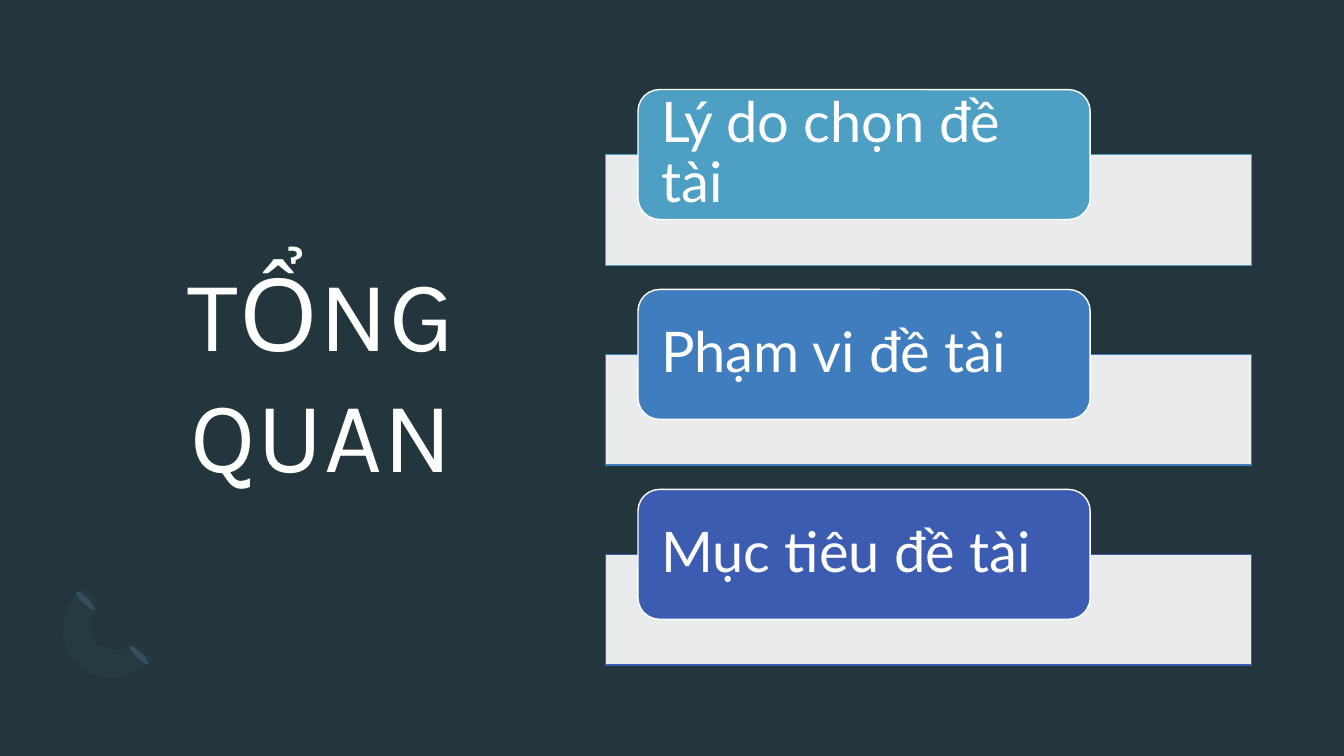
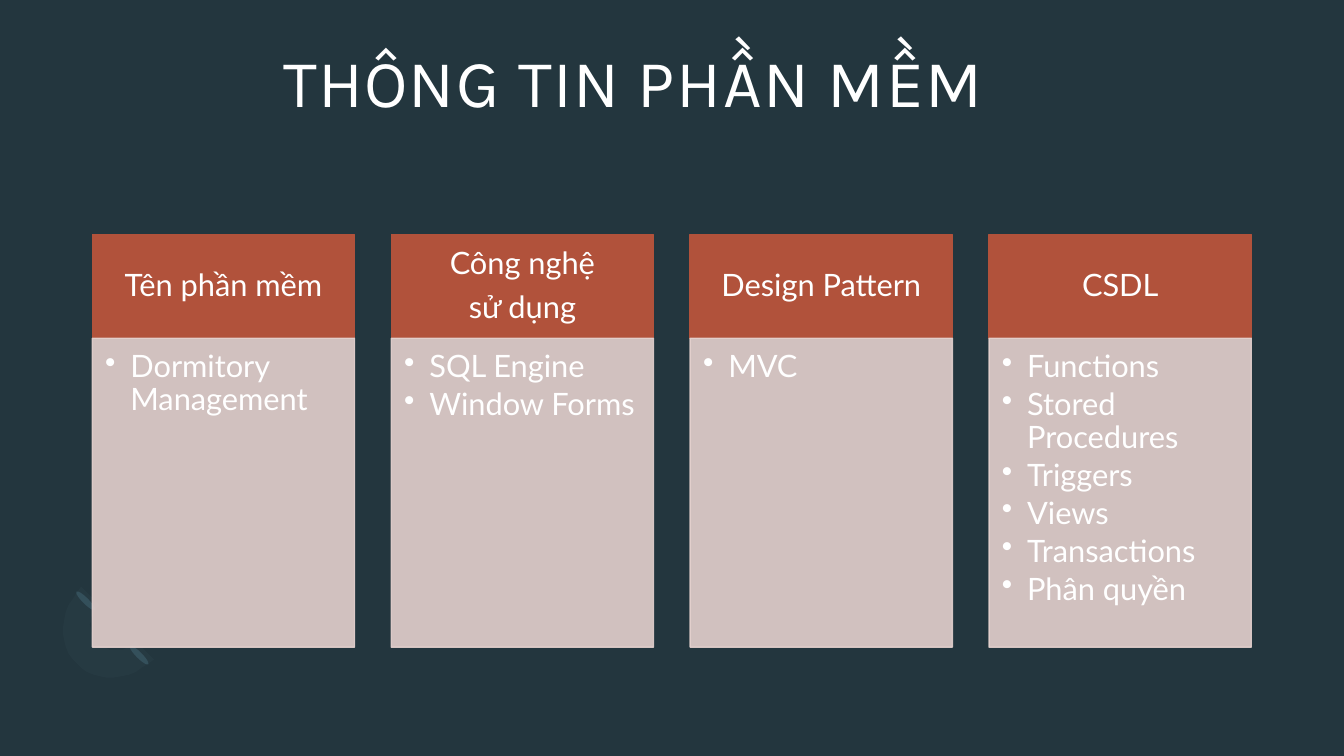
import math
from dataclasses import dataclass

from lxml import etree
from pptx import Presentation
from pptx import util as u
from pptx.dml import color
from pptx.enum import shapes, text
from pptx.oxml import ns

COLORS = {
    "background": "23363E",
    "white": "FFFFFF",
    "petal": "324D58",
    "ring": "7BA3B4",
    "teal": "4D9FC3",
    "blue": "407DBE",
    "indigo": "3B5CB1",
    "rust": "B1523B",
    "blush": "E4D1CE",
}
TITLE_FONT, BODY_FONT = "Karla", "Lato"


@dataclass(frozen=True)
class Box:
    left: float
    top: float
    width: float
    height: float

    def lengths(self) -> tuple:
        return tuple(u.Pt(n) for n in (self.left, self.top, self.width, self.height))


@dataclass(frozen=True)
class TextStyle:
    size: float
    font: str = BODY_FONT
    align: text.PP_ALIGN = text.PP_ALIGN.LEFT
    anchor: text.MSO_ANCHOR = text.MSO_ANCHOR.MIDDLE
    insets: tuple = (0, 0, 0, 0)
    line_spacing: float = 0.9
    space_after: float = 0
    tracking: int = 0
    bullet: bool = False


@dataclass(frozen=True)
class Topic:
    label: str
    color: str


@dataclass(frozen=True)
class Column:
    header: list
    items: list


TOPIC_STYLE = TextStyle(40, insets=(12.2, 0, 12.2, 0))
HEADER_STYLE = TextStyle(22, align=text.PP_ALIGN.CENTER, insets=(12.3, 7, 12.3, 7), space_after=7.7)
ITEM_STYLE = TextStyle(22, anchor=text.MSO_ANCHOR.TOP, insets=(9.2, 9.2, 12.3, 13.9),
                       space_after=3.3, bullet=True)

TOPICS = [
    Topic("Lý do chọn đề tài", "teal"),
    Topic("Phạm vi đề tài", "blue"),
    Topic("Mục tiêu đề tài", "indigo"),
]
COLUMNS = [
    Column(["Tên phần mềm"], ["Dormitory Management"]),
    Column(["Công nghệ", "sử dụng"], ["SQL Engine", "Window Forms"]),
    Column(["Design Pattern"], ["MVC"]),
    Column(["CSDL"], ["Functions", "Stored Procedures", "Triggers", "Views",
                      "Transactions", "Phân quyền"]),
]


def set_color(fill, name: str, opacity: int = 100) -> None:
    fill.solid()
    fill.fore_color.rgb = color.RGBColor.from_string(COLORS[name])
    if opacity < 100:
        rgb = fill._xPr.find(".//" + ns.qn("a:srgbClr"))
        etree.SubElement(rgb, ns.qn("a:alpha"), val=str(opacity * 1000))


def paint(shape, fill: str, line: str = "", opacity: int = 100, line_opacity: int = 100) -> None:
    shape.shadow.inherit = False
    set_color(shape.fill, fill, opacity)
    if line:
        shape.line.width = u.Pt(1)
        set_color(shape.line.fill, line, line_opacity)
    else:
        shape.line.fill.background()


def write(shape, lines: list, style: TextStyle) -> None:
    frame = shape.text_frame
    sides = ("margin_left", "margin_top", "margin_right", "margin_bottom")
    frame_format = {"word_wrap": True, "vertical_anchor": style.anchor,
                    **{side: u.Pt(inset) for side, inset in zip(sides, style.insets)}}
    for name, value in frame_format.items():
        setattr(frame, name, value)
    frame.text = "\n".join(lines)
    for paragraph in frame.paragraphs:
        paragraph_format = {"alignment": style.align, "line_spacing": style.line_spacing,
                            "space_after": u.Pt(style.space_after)}
        for name, value in paragraph_format.items():
            setattr(paragraph, name, value)
        if style.bullet:
            properties = paragraph._p.get_or_add_pPr()
            properties.set("marL", str(u.Pt(18)))
            properties.set("indent", str(u.Pt(-18)))
            etree.SubElement(properties, ns.qn("a:buChar"), char="•")
        for run in paragraph.runs:
            for name, value in {"name": style.font, "size": u.Pt(style.size)}.items():
                setattr(run.font, name, value)
            set_color(run.font.fill, "white")
            if style.tracking:
                run._r.get_or_add_rPr().set("spc", str(style.tracking))


def add_box(slide, box: Box, kind=shapes.MSO_SHAPE.RECTANGLE, **look):
    shape = slide.shapes.add_shape(kind, *box.lengths())
    paint(shape, **look)
    return shape


def add_title(slide, title: str, box: Box, size: float) -> None:
    style = TextStyle(size, TITLE_FONT, text.PP_ALIGN.CENTER, text.MSO_ANCHOR.TOP,
                      line_spacing=1.0, tracking=100)
    write(slide.shapes.add_textbox(*box.lengths()), [title], style)


def arc(along: float, across: float) -> list:
    points = []
    for step in range(25):
        angle = math.pi * (1 - step / 24)
        x, y = along * math.cos(angle), across * math.sin(angle)
        points.append((84 + (x - y) / math.sqrt(2), 445 + (x + y) / math.sqrt(2)))
    return points


def add_ornament(slide) -> None:
    for left, top in ((97.2, 458.6), (59, 419.8)):
        petal = add_box(slide, Box(left, top, 4.3, 18.7), shapes.MSO_SHAPE.OVAL, fill="petal")
        petal.rotation = 135
    outline = arc(36.4, 41.5) + arc(18.4, 20.6)[::-1]
    builder = slide.shapes.build_freeform(*outline[0], scale=u.Pt(1))
    builder.add_line_segments(outline[1:], close=True)
    paint(builder.convert_to_shape(), "ring", opacity=4)


def add_slide(presentation):
    slide = presentation.slides.add_slide(presentation.slide_layouts[6])
    set_color(slide.background.fill, "background")
    add_ornament(slide)
    return slide


def build_overview(presentation) -> None:
    slide = add_slide(presentation)
    add_title(slide, "TỔNG QUAN", Box(75, 179.3, 310, 180), 72)
    for index, topic in enumerate(TOPICS):
        top = 64 + index * 142.8
        add_box(slide, Box(432.6, top + 46.3, 461.3, 79.2),
                fill="white", line=topic.color, opacity=90)
        label = add_box(slide, Box(455.7, top, 323, 92.8), shapes.MSO_SHAPE.ROUNDED_RECTANGLE,
                        fill=topic.color, line="white")
        write(label, [topic.label], TOPIC_STYLE)


def build_software(presentation) -> None:
    slide = add_slide(presentation)
    add_title(slide, "THÔNG TIN PHẦN MỀM", Box(66, 28.8, 772, 104.4), 48)
    for index, column in enumerate(COLUMNS):
        left = 66 + index * 213.5
        header = add_box(slide, Box(left, 167.6, 187.3, 74), fill="rust", line="rust")
        write(header, column.header, HEADER_STYLE)
        body = add_box(slide, Box(left, 241.6, 187.3, 220.7), fill="blush", line="blush",
                       opacity=90, line_opacity=90)
        write(body, column.items, ITEM_STYLE)


def main() -> None:
    presentation = Presentation()
    presentation.slide_width, presentation.slide_height = u.Pt(960), u.Pt(540)
    build_overview(presentation)
    build_software(presentation)
    presentation.save("out.pptx")


if __name__ == "__main__":
    main()
